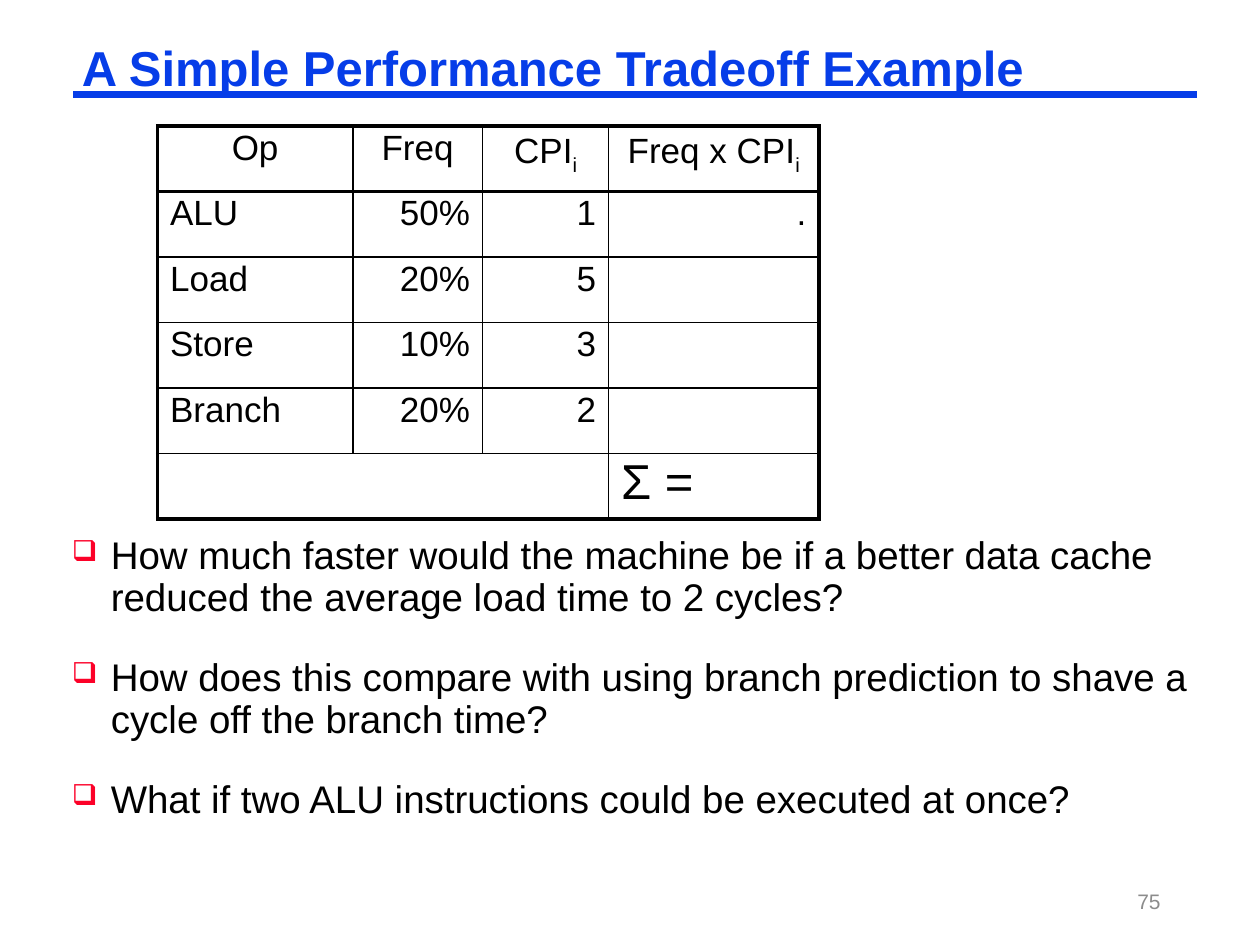
import pptx
import pptx.dml.color
import pptx.enum.shapes
import pptx.enum.text
import pptx.oxml.ns
import pptx.util
from dataclasses import dataclass
from lxml import etree

Inches = pptx.util.Inches
Pt = pptx.util.Pt
Align = pptx.enum.text.PP_ALIGN
Anchor = pptx.enum.text.MSO_ANCHOR
qn = pptx.oxml.ns.qn


def rgb(value):
    return pptx.dml.color.RGBColor.from_string(value)


@dataclass(frozen=True)
class Theme:
    font: str = "Arial"
    blue: str = "063DE8"
    red: str = "FC0128"
    black: str = "000000"
    grey: str = "8C8C8C"
    title_size: int = 28
    body_size: int = 22
    table_size: int = 20
    sum_size: int = 28
    number_size: int = 12
    rule_width: float = 4.5
    thin: float = 1
    thick: float = 2.25


class SlideBuilder:
    def __init__(self, page, theme):
        self.page = page
        self.theme = theme

    def span(self, para, text, size, color, bold=False, subscript=False):
        span = para.add_run()
        span.text = text
        span.font.name = self.theme.font
        span.font.size = Pt(size)
        span.font.bold = bold
        span.font.color.rgb = rgb(color)
        if subscript:
            span.font._element.set("baseline", "-25000")

    def text_box(self, left, top, width, height, inset=(0.07, 0.03), anchor=Anchor.TOP):
        box = self.page.shapes.add_textbox(
            Inches(left), Inches(top), Inches(width), Inches(height))
        frame = box.text_frame
        frame.word_wrap = True
        frame.vertical_anchor = anchor
        frame.margin_left = frame.margin_right = Inches(inset[0])
        frame.margin_top = frame.margin_bottom = Inches(inset[1])
        return frame

    def rule(self, left, right, y):
        line = self.page.shapes.add_connector(
            pptx.enum.shapes.MSO_CONNECTOR.STRAIGHT,
            Inches(left), Inches(y), Inches(right), Inches(y))
        line.line.color.rgb = rgb(self.theme.blue)
        line.line.width = Pt(self.theme.rule_width)
        etree.SubElement(line._element.spPr, qn("a:effectLst"))

    def title(self, text):
        para = self.text_box(0.58, 0.33, 8.92, 0.46).paragraphs[0]
        para.line_spacing = 0.87
        self.span(para, text, self.theme.title_size, self.theme.blue, bold=True)

    def bullets(self, items):
        frame = self.text_box(0.5, 4.23, 9, 2.44)
        for index, item in enumerate(items):
            para = frame.add_paragraph() if index else frame.paragraphs[0]
            para.line_spacing = 0.9
            para.space_before = Pt(self.theme.body_size if index else 0)
            props = para._p.get_or_add_pPr()
            props.set("marL", str(Inches(0.31)))
            props.set("indent", str(-Inches(0.31)))
            color = etree.SubElement(props, qn("a:buClr"))
            etree.SubElement(color, qn("a:srgbClr"), val=self.theme.red)
            etree.SubElement(props, qn("a:buSzPct"), val="75000")
            etree.SubElement(props, qn("a:buChar"), char="❑")
            self.span(para, item, self.theme.body_size, self.theme.black)

    def page_number(self, text):
        frame = self.text_box(7.06, 6.95, 2.25, 0.4, (0.1, 0.05), Anchor.MIDDLE)
        para = frame.paragraphs[0]
        para.alignment = Align.RIGHT
        self.span(para, text, self.theme.number_size, self.theme.grey)

    def border(self, cell, side, width):
        props = cell._tc.get_or_add_tcPr()
        line = etree.SubElement(props, qn("a:ln" + side), w=str(Pt(width)))
        fill = etree.SubElement(line, qn("a:solidFill"))
        etree.SubElement(fill, qn("a:srgbClr"), val=self.theme.black)

    def cell_text(self, cell, text, alignment, size):
        para = cell.text_frame.paragraphs[0]
        para.alignment = alignment
        para.line_spacing = 0.9
        # An underscore separates a label from its subscript
        label, _, subscript = text.partition("_")
        self.span(para, label, size, self.theme.black)
        if subscript:
            self.span(para, subscript, size, self.theme.black, subscript=True)

    def table(self, left, top, widths, row_height, rows):
        theme = self.theme
        last_row, last_column = len(rows) - 1, len(widths) - 1
        table = self.page.shapes.add_table(
            len(rows), len(widths), Inches(left), Inches(top),
            Inches(sum(widths)), Inches(row_height * len(rows))).table
        table.first_row = table.horz_banding = False
        for column, width in zip(table.columns, widths):
            column.width = Inches(width)
        for row in table.rows:
            row.height = Inches(row_height)
        # The total row keeps only its last cell separate
        table.cell(last_row, 0).merge(table.cell(last_row, last_column - 1))

        for r, row in enumerate(rows):
            for c, text in enumerate(row):
                cell = table.cell(r, c)
                # Thick lines frame the table and underline the header
                heavy = {"L": c == 0, "R": c == last_column,
                         "T": r in (0, 1), "B": r in (0, last_row)}
                for side, is_heavy in heavy.items():
                    if not (cell.is_spanned and side in "LR"):
                        self.border(cell, side, theme.thick if is_heavy else theme.thin)
                cell.fill.background()
                if text:
                    if r == 0:
                        alignment = Align.CENTER
                    elif c == 0 or r == last_row:
                        alignment = Align.LEFT
                    else:
                        alignment = Align.RIGHT
                    size = theme.sum_size if r == last_row else theme.table_size
                    self.cell_text(cell, text, alignment, size)


def main():
    deck = pptx.Presentation()
    deck.slide_width, deck.slide_height = Inches(10), Inches(7.5)
    builder = SlideBuilder(deck.slides.add_slide(deck.slide_layouts[6]), Theme())

    # Heading
    builder.rule(0.58, 9.5, 0.75)
    builder.title("A Simple Performance Tradeoff Example")

    # Questions
    builder.bullets([
        "How much faster would the machine be if a better data cache "
        "reduced the average load time to 2 cycles?",
        "How does this compare with using branch prediction to shave a "
        "cycle off the branch time?",
        "What if two ALU instructions could be executed at once?",
    ])

    # Instruction mix
    builder.table(1.25, 1, [1.55, 1.03, 1, 1.67], 0.52, [
        ["Op", "Freq", "CPI_i", "Freq x CPI_i"],
        ["ALU", "50%", "1", "."],
        ["Load", "20%", "5", ""],
        ["Store", "10%", "3", ""],
        ["Branch", "20%", "2", ""],
        ["", "", "", "Σ ="],
    ])

    # Footer
    builder.page_number("75")
    deck.save("out.pptx")


if __name__ == "__main__":
    main()
